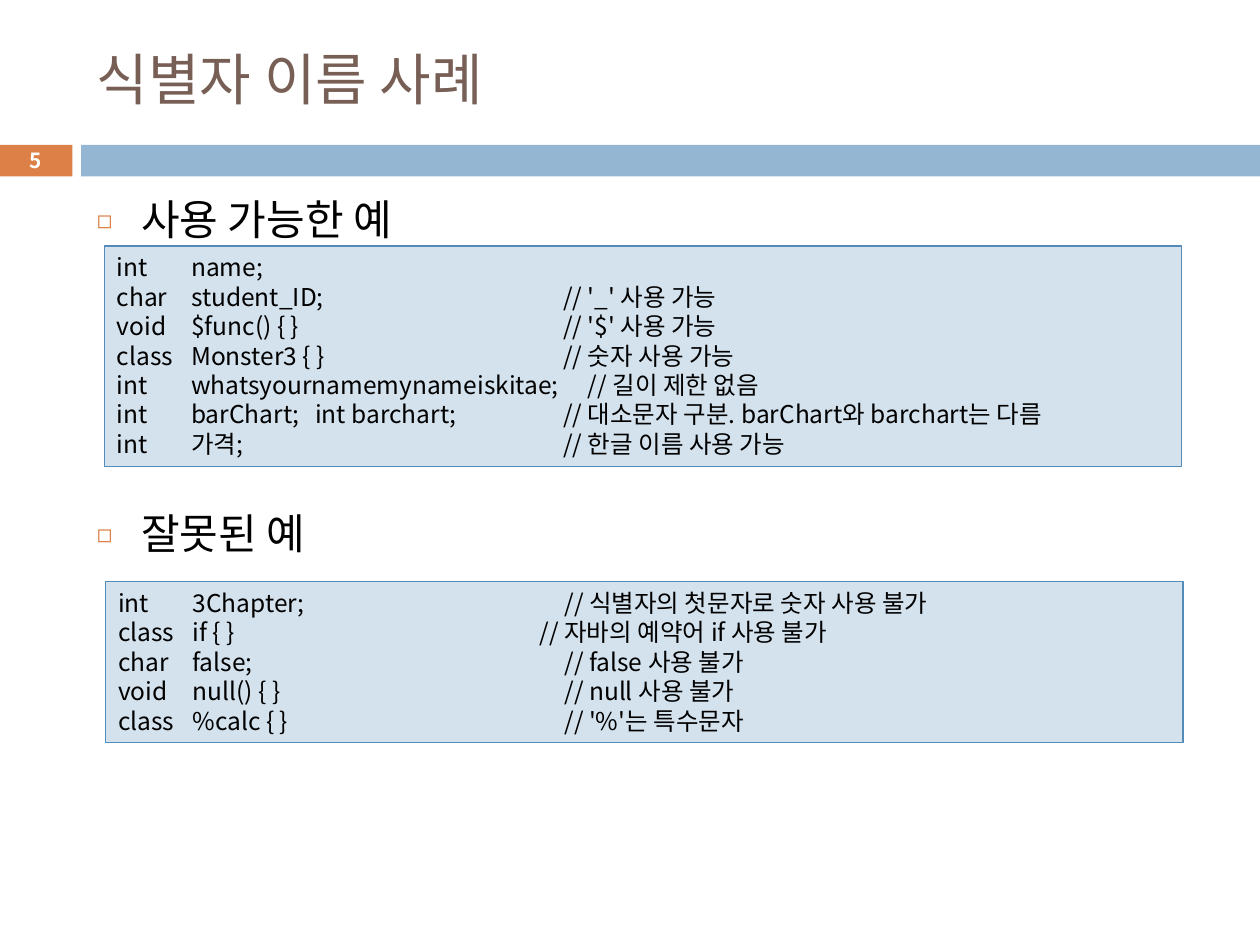
import dataclasses

import pptx
import pptx.dml.color
import pptx.enum.shapes
import pptx.enum.text
import pptx.oxml
import pptx.oxml.ns
import pptx.util

Pt = pptx.util.Pt
Align = pptx.enum.text.PP_ALIGN
Anchor = pptx.enum.text.MSO_ANCHOR


@dataclasses.dataclass(frozen=True)
class Theme:
    font: str = "Noto Sans CJK KR"
    title: str = "775F55"
    text: str = "000000"
    light: str = "FFFFFF"
    accent: str = "DD8047"
    band: str = "94B6D2"
    code_fill: str = "D4E2ED"
    code_line: str = "558BB8"
    title_size: float = 32
    list_size: float = 24
    code_size: float = 14
    number_size: float = 11.9


THEME = Theme()
TAB = 14.17  # width of one tab step
NAME, SECOND, COMMENT = 3, 8, 18  # code columns, in tab steps

# Each line: its text, then the tab steps its tabs lead to.
VALID_CODE = [
    ("int\tname;", [NAME]),
    ("char\tstudent_ID;\t// '_' 사용 가능", [NAME, COMMENT]),
    ("void\t$func() { }\t// '$' 사용 가능", [NAME, COMMENT]),
    ("class\tMonster3 { }\t// 숫자 사용 가능", [NAME, COMMENT]),
    ("int\twhatsyournamemynameiskitae;\t// 길이 제한 없음", [NAME, COMMENT + 1]),
    ("int\tbarChart;\tint barchart;\t// 대소문자 구분. barChart와 barchart는 다름",
     [NAME, SECOND, COMMENT]),
    ("int\t가격;\t// 한글 이름 사용 가능", [NAME, COMMENT]),
]
INVALID_CODE = [
    ("int\t3Chapter;\t// 식별자의 첫문자로 숫자 사용 불가", [NAME, COMMENT]),
    ("class\tif { }\t// 자바의 예약어 if 사용 불가", [NAME, COMMENT - 1]),
    ("char\tfalse;\t// false 사용 불가", [NAME, COMMENT]),
    ("void\tnull() { }\t// null 사용 불가", [NAME, COMMENT]),
    ("class\t%calc { }\t// '%'는 특수문자", [NAME, COMMENT]),
]


def color(value):
    return pptx.dml.color.RGBColor.from_string(value)


def add_xml(parent, tag, **attributes):
    element = pptx.oxml.parse_xml(f"<a:{tag} {pptx.oxml.ns.nsdecls('a')}/>")
    for name, value in attributes.items():
        element.set(name, str(value))
    parent.append(element)
    return element


def write(paragraph, text, size, fill=THEME.text, bold=False,
          align=Align.LEFT, line=None, before=0):
    paragraph.alignment = align
    paragraph.space_before = Pt(before)
    if line:
        paragraph.line_spacing = Pt(line)
    run = paragraph.add_run()
    run.text = text
    run.font.name = THEME.font
    run.font.size = Pt(size)
    run.font.bold = bold
    run.font.color.rgb = color(fill)
    add_xml(run.font._element, "ea", typeface=THEME.font)


def place(shape, box):
    shape.left, shape.top, shape.width, shape.height = map(Pt, box)


def prepare_frame(shape, anchor=Anchor.TOP):
    frame = shape.text_frame
    frame.word_wrap = True
    frame.auto_size = pptx.enum.text.MSO_AUTO_SIZE.NONE
    frame.vertical_anchor = anchor
    return frame


def paragraphs_for(frame, items):
    """Pair each item with a paragraph of the frame."""
    for index, item in enumerate(items):
        yield (frame.add_paragraph() if index else frame.paragraphs[0]), item


def add_rectangle(slide, box, fill, line=None):
    shape = slide.shapes.add_shape(
        pptx.enum.shapes.MSO_SHAPE.RECTANGLE, *map(Pt, box))
    shape.shadow.inherit = False
    shape.fill.solid()
    shape.fill.fore_color.rgb = color(fill)
    if line:
        shape.line.color.rgb = color(line)
        shape.line.width = Pt(0.75)
    else:
        shape.line.fill.background()
    return shape


def add_header_band(slide, box, number):
    left, top, width, height = box
    number_width, gap = 42, 5
    number_box = (left, top, number_width, height)
    band_left = left + number_width + gap
    add_rectangle(slide, number_box, THEME.accent)
    add_rectangle(slide, (band_left, top, left + width - band_left, height), THEME.band)
    label = slide.shapes.add_textbox(*map(Pt, (left, top - 1, number_width, height + 1)))
    frame = prepare_frame(label, Anchor.MIDDLE)
    frame.margin_top = frame.margin_bottom = 0
    write(frame.paragraphs[0], number, THEME.number_size, THEME.light,
          bold=True, align=Align.CENTER)


def fill_title(slide, box, text):
    title = slide.shapes.title
    place(title, box)
    frame = prepare_frame(title, Anchor.MIDDLE)
    write(frame.paragraphs[0], text, THEME.title_size, THEME.title)


def fill_list(slide, box, items):
    """Fill the body with (text, space before) bullets."""
    body = slide.placeholders[1]
    place(body, box)
    for paragraph, (text, before) in paragraphs_for(prepare_frame(body), items):
        write(paragraph, text, THEME.list_size, line=30, before=before)
        properties = paragraph._p.get_or_add_pPr()
        properties.set("marL", str(Pt(25.2)))
        properties.set("indent", str(-Pt(25.2)))
        add_xml(add_xml(properties, "buClr"), "srgbClr", val=THEME.accent)
        add_xml(properties, "buSzPct", val=60000)
        add_xml(properties, "buFont", typeface=THEME.font)
        add_xml(properties, "buChar", char="◻")


def add_code(slide, box, lines):
    shape = add_rectangle(slide, box, THEME.code_fill, THEME.code_line)
    for paragraph, (text, stops) in paragraphs_for(prepare_frame(shape), lines):
        write(paragraph, text, THEME.code_size, line=16.8)
        tabs = add_xml(paragraph._p.get_or_add_pPr(), "tabLst")
        for stop in stops:
            add_xml(tabs, "tab", pos=Pt(stop * TAB), algn="l")


def main():
    presentation = pptx.Presentation()
    presentation.slide_width, presentation.slide_height = Pt(720), Pt(540)
    slide = presentation.slides.add_slide(presentation.slide_layouts[1])
    add_header_band(slide, (-0.6, 82.8, 720.6, 18), "5")
    fill_title(slide, (48.2, 18, 642.2, 53.3), "식별자 이름 사례")
    fill_list(slide, (48.2, 105.8, 642.2, 396.7),
              [("사용 가능한 예", 0), ("잘못된 예", 149.4)])
    add_code(slide, (59.6, 140.6, 615.6, 126), VALID_CODE)
    add_code(slide, (60.4, 332.4, 615.6, 92), INVALID_CODE)
    presentation.save("out.pptx")


if __name__ == "__main__":
    main()
